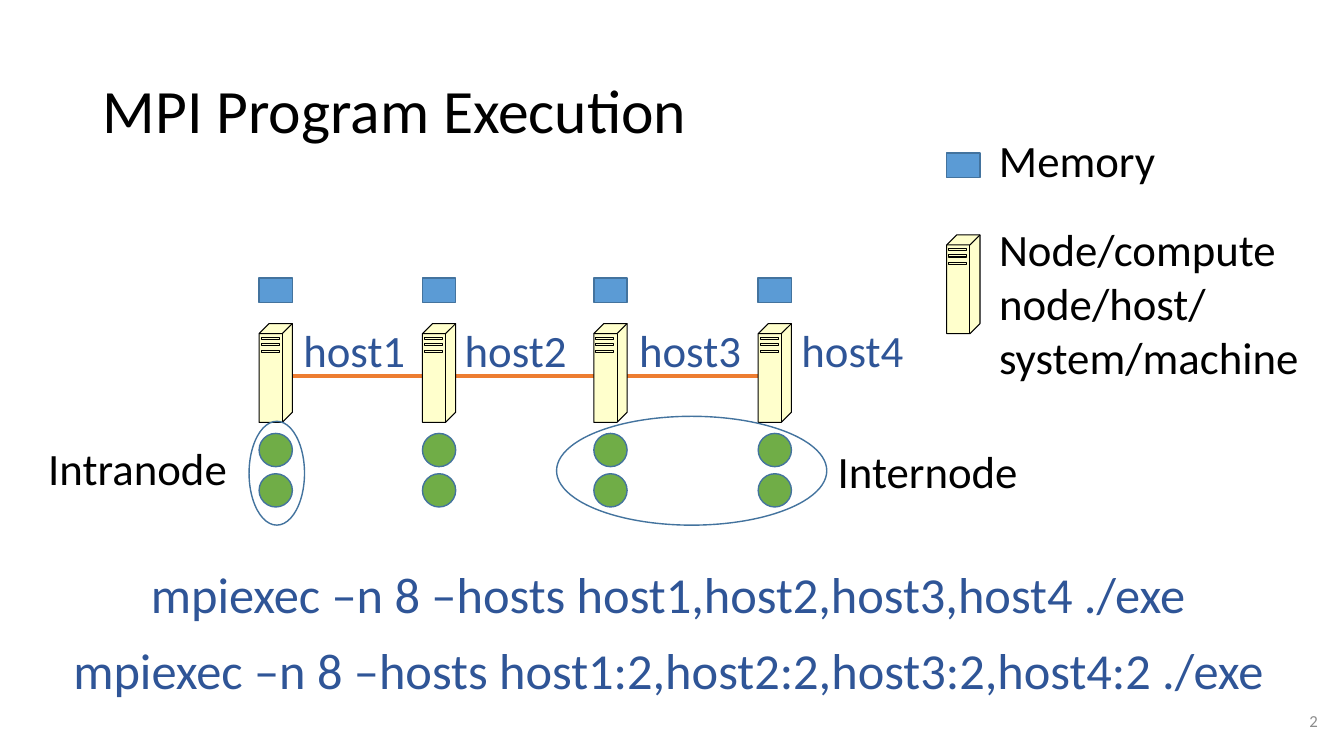
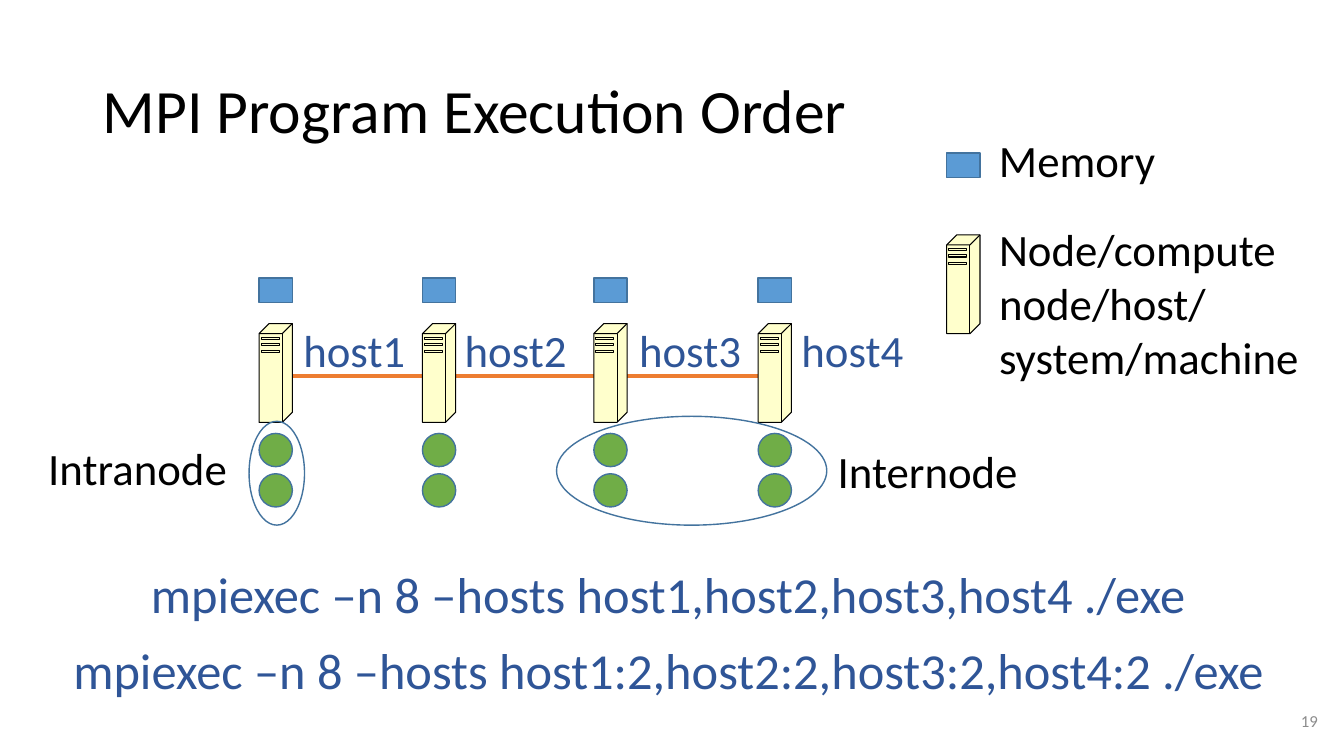
from lxml.etree import SubElement
from pptx import Presentation
from pptx.dml.color import RGBColor
from pptx.enum.shapes import MSO_CONNECTOR, MSO_SHAPE
from pptx.enum.text import MSO_ANCHOR, MSO_AUTO_SIZE, PP_ALIGN
from pptx.oxml.ns import qn
from pptx.util import Inches, Pt

FONT = "Calibri"
BLACK = RGBColor(0x00, 0x00, 0x00)
GRAY = RGBColor(0x8C, 0x8C, 0x8C)
NAVY = RGBColor(0x2F, 0x55, 0x97)
EDGE = RGBColor(0x43, 0x73, 0x9E)
MEMORY = RGBColor(0x5B, 0x9B, 0xD5)
PROCESS = RGBColor(0x70, 0xAD, 0x47)
TOWER = RGBColor(0xFF, 0xFF, 0xCC)
NETWORK = RGBColor(0xED, 0x7D, 0x31)

# Slide title, page number
SLIDES = [("MPI Program Execution", "2"), ("MPI Program Execution Order", "19")]
# Name, left of the node, left of the label
HOSTS = [("host1", 2.57, 2.91), ("host2", 4.19, 4.51),
         ("host3", 5.89, 6.24), ("host4", 7.52, 7.85)]
NODE_W, NODE_H = 0.33, 0.98
MEMORY_H = 0.24
NODE_TOP, MEMORY_TOP = 3.21, 2.76
PROCESS_TOPS = (4.3, 4.7)
LEGEND_X, LEGEND_TEXT_X = 9.39, 9.81

# Tower outline and inner strokes, in inches from its top left corner
OUTLINE = [(0, 0.1), (0.1, 0), (NODE_W, 0), (NODE_W, 0.88), (0.23, NODE_H), (0, NODE_H)]
EDGES = [[(0, 0.1), (0.23, 0.1), (NODE_W, 0)], [(0.23, 0.1), (0.23, NODE_H)]]
SLOTS = [[(0.02, y), (0.2, y), (0.2, y + 0.02), (0.02, y + 0.02), (0.02, y)]
         for y in (0.14, 0.2, 0.27)]


def add_text(s, text, box, size=32, color=BLACK, align=PP_ALIGN.LEFT,
             wrap=True, anchor=MSO_ANCHOR.TOP, grow=True, spacing=None):
    tb = s.shapes.add_textbox(*map(Inches, box))
    tf = tb.text_frame
    frame_format = {
        "word_wrap": wrap,
        "vertical_anchor": anchor,
        "auto_size": MSO_AUTO_SIZE.SHAPE_TO_FIT_TEXT if grow else MSO_AUTO_SIZE.NONE,
    }
    for name, value in frame_format.items():
        setattr(tf, name, value)
    p = tf.paragraphs[0]
    p.text = text
    p.alignment = align
    p.line_spacing = spacing
    for r in p.runs:
        for name, value in {"name": FONT, "size": Pt(size)}.items():
            setattr(r.font, name, value)
        r.font.color.rgb = color


def style(sp, fill, line, width):
    """Fill and outline a shape; a fill of None leaves it hollow."""
    sp.shadow.inherit = False
    if fill is None:
        sp.fill.background()
    else:
        sp.fill.solid()
        sp.fill.fore_color.rgb = fill
    sp.line.color.rgb = line
    sp.line.width = Pt(width)


def add_preset(s, kind, box, fill=None):
    sp = s.shapes.add_shape(kind, *map(Inches, box))
    style(sp, fill, EDGE, 1)


def add_memory(s, x, y):
    add_preset(s, MSO_SHAPE.RECTANGLE, (x, y, NODE_W, MEMORY_H), MEMORY)


def add_outline(shapes, x, y, contours, fill=None, close=False):
    """Draw one freeform from contours given relative to (x, y)."""
    placed = [[(Inches(x + dx), Inches(y + dy)) for dx, dy in c] for c in contours]
    builder = shapes.build_freeform(*placed[0][0])
    for i, (start, *rest) in enumerate(placed):
        if i:
            builder.move_to(*start)
        builder.add_line_segments(rest, close=close)
    style(builder.convert_to_shape(), fill, BLACK, 0.75)


def add_tower(s, x, y):
    shapes = s.shapes.add_group_shape().shapes
    add_outline(shapes, x, y, [OUTLINE], TOWER, close=True)
    add_outline(shapes, x, y, EDGES + SLOTS)


def add_network(s):
    y = Inches(3.73)
    line = s.shapes.add_connector(MSO_CONNECTOR.STRAIGHT, Inches(HOSTS[0][1]), y,
                                  Inches(HOSTS[-1][1] + NODE_W), y)
    line.line.color.rgb = NETWORK
    line.line.width = Pt(3)
    SubElement(line._element.spPr, qn("a:effectLst"))


def add_host(s, name, x, label_x):
    add_tower(s, x, NODE_TOP)
    add_memory(s, x, MEMORY_TOP)
    for y in PROCESS_TOPS:
        add_preset(s, MSO_SHAPE.OVAL, (x, y, NODE_W, NODE_W), PROCESS)
    add_text(s, name, (label_x, 3.15, 1.22, 0.64), color=NAVY, wrap=False)


def add_legend(s):
    add_memory(s, LEGEND_X, 1.52)
    add_text(s, "Memory", (LEGEND_TEXT_X, 1.27, 2.27, 0.64))
    add_tower(s, LEGEND_X, 2.33)
    add_text(s, "Node/compute node/host/\nsystem/machine",
             (LEGEND_TEXT_X, 2.15, 3.22, 1.72))


def add_scopes(s):
    """Ring the processes that talk within a node and between nodes."""
    add_preset(s, MSO_SHAPE.OVAL, (5.52, 4.13, 2.68, 1.08))
    add_preset(s, MSO_SHAPE.OVAL, (2.47, 4.18, 0.55, 1.03))
    add_text(s, "Internode", (8.21, 4.35, 3.51, 0.64))
    add_text(s, "Intranode", (0.38, 4.32, 3.51, 0.64))


def add_command(s, text, box):
    add_text(s, text, box, 36, NAVY, PP_ALIGN.CENTER, wrap=False)


def add_slide(prs, title, number):
    s = prs.slides.add_slide(prs.slide_layouts[6])
    add_text(s, title, (0.92, 0.4, 11.5, 1.45), 44,
             anchor=MSO_ANCHOR.MIDDLE, grow=False, spacing=0.9)
    add_network(s)
    for host in HOSTS:
        add_host(s, *host)
    add_scopes(s)
    add_legend(s)
    add_command(s, "mpiexec –n 8 –hosts host1,host2,host3,host4 ./exe",
                (1.35, 5.54, 10.56, 0.71))
    add_command(s, "mpiexec –n 8 –hosts host1:2,host2:2,host3:2,host4:2 ./exe",
                (0.57, 6.29, 12.13, 0.71))
    add_text(s, number, (9.42, 6.95, 3.75, 0.4), 12, GRAY, PP_ALIGN.RIGHT,
             anchor=MSO_ANCHOR.MIDDLE, grow=False)


def main():
    prs = Presentation()
    prs.slide_width, prs.slide_height = Inches(13.33), Inches(7.5)
    for title, number in SLIDES:
        add_slide(prs, title, number)
    prs.save("out.pptx")


if __name__ == "__main__":
    main()
